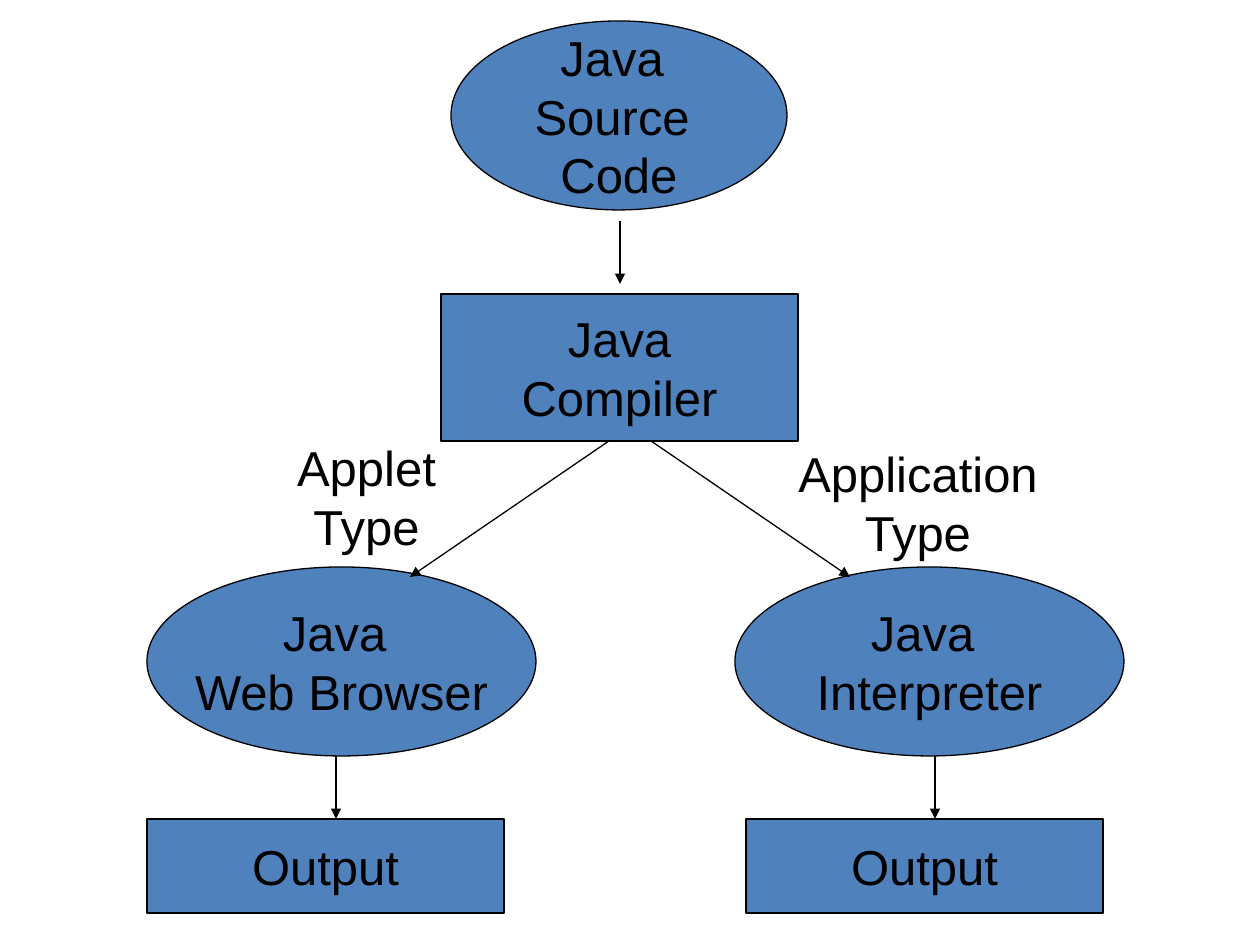
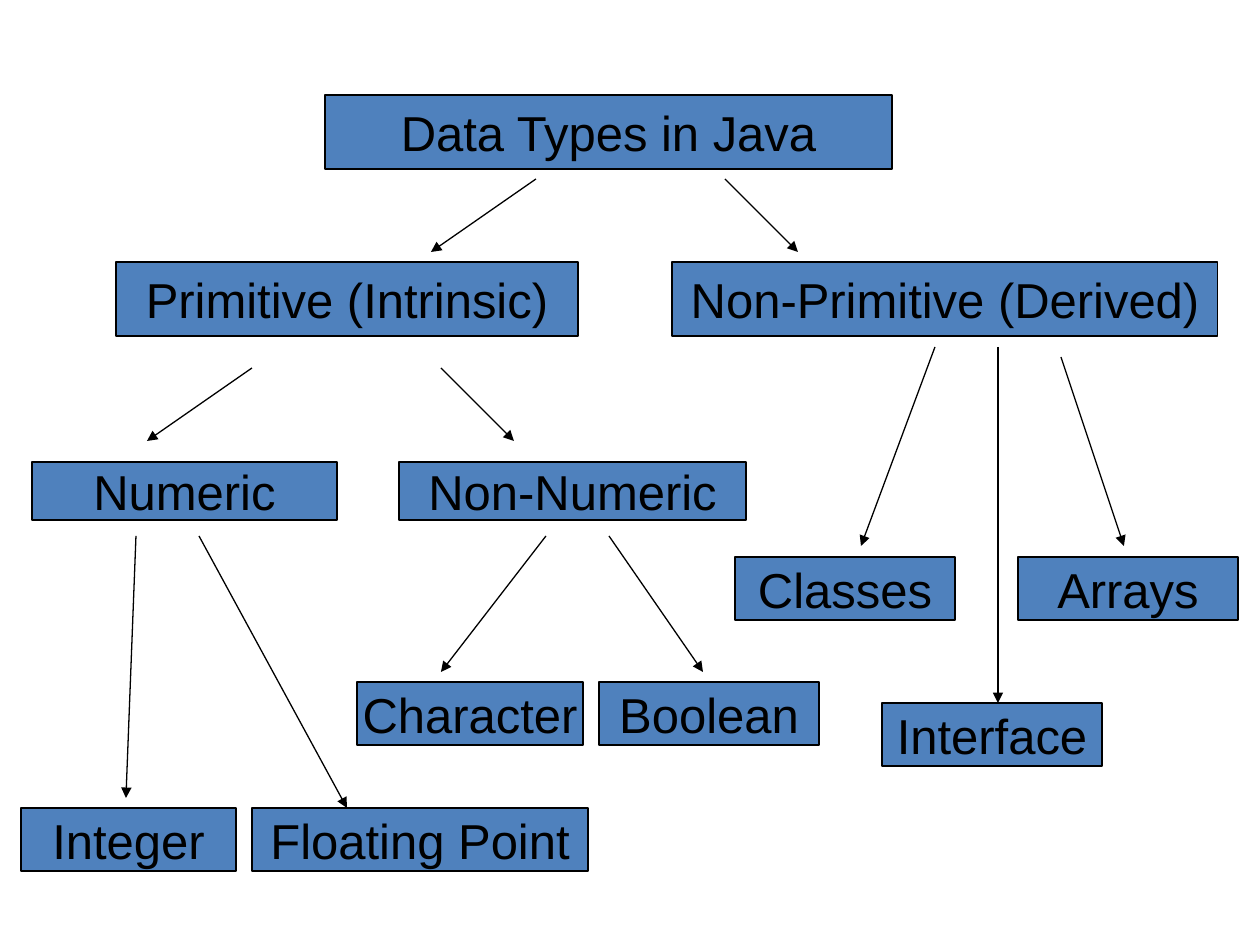
from lxml import etree
from pptx import Presentation, util as u
from pptx.dml.color import RGBColor
from pptx.enum import shapes, text
from pptx.oxml.ns import qn

# Shared look
SCALE = u.Inches(1) // 126
COLORS = {"fill": "4F81BD", "ink": "000000"}
FONT, FONT_SIZE, LINE_WIDTH = "Arial", u.Pt(28), u.Pt(0.75)
RECT, OVAL = shapes.MSO_SHAPE.RECTANGLE, shapes.MSO_SHAPE.OVAL

# Compilation flow: (lines, left, top, width, height)
flow_ovals = [
    (["Java ", "Source ", "Code"], 451, 21, 336, 189),
    (["Java ", "Web Browser"], 147, 567, 389, 189),
    (["Java ", "Interpreter"], 735, 567, 389, 189),
]
flow_boxes = [
    (["Output"], 147, 819, 357, 94),
    (["Output"], 746, 819, 357, 94),
    (["Java", "Compiler"], 441, 294, 357, 147),
]
flow_labels = [
    (["Applet", "Type"], 284, 431, 165, 130),
    (["Application", "Type"], 785, 437, 266, 130),
]
# Arrows: (from x, from y, to x, to y)
flow_arrows = [
    (620, 221, 620, 284),
    (336, 756, 336, 819),
    (935, 756, 935, 819),
    (609, 441, 410, 577),
    (651, 441, 850, 577),
]

# Data type tree, by row: (top, height, [(name, left, width)])
type_rows = [
    (95, 74, [("Data Types in Java", 325, 567)]),
    (262, 74, [("Primitive (Intrinsic)", 116, 462),
               ("Non-Primitive (Derived)", 672, 546)]),
    (462, 58, [("Numeric", 32, 305), ("Non-Numeric", 399, 347)]),
    (808, 63, [("Integer", 21, 215), ("Floating Point", 252, 336)]),
    (682, 63, [("Character", 357, 226), ("Boolean", 599, 220)]),
    (557, 63, [("Classes", 735, 220), ("Arrays", 1018, 220)]),
    (703, 63, [("Interface", 882, 220)]),
]
type_arrows = [
    (536, 179, 431, 252), (725, 179, 798, 252),    # two families
    (252, 368, 147, 441), (441, 368, 514, 441),    # primitive
    (546, 536, 441, 672), (609, 536, 703, 672),    # non-numeric
    (136, 536, 126, 798), (199, 536, 347, 808),    # numeric
    (935, 347, 861, 546), (1061, 357, 1124, 546),  # non-primitive
    (998, 347, 998, 703),
]


def color(name):
    return RGBColor.from_string(COLORS[name])


def px(*lengths):
    return [length * SCALE for length in lengths]


def write(frame, lines):
    frame.word_wrap = False
    frame.text = "\n".join(lines)
    for paragraph in frame.paragraphs:
        paragraph.alignment = text.PP_ALIGN.CENTER
        paragraph.font.name = FONT
        paragraph.font.size = FONT_SIZE
        paragraph.font.color.rgb = color("ink")


def add_node(slide, kind, lines, *place):
    node = slide.shapes.add_shape(kind, *px(*place))
    node.shadow.inherit = False
    node.fill.solid()
    node.fill.fore_color.rgb = color("fill")
    node.line.color.rgb = color("ink")
    node.line.width = LINE_WIDTH
    node.text_frame.vertical_anchor = text.MSO_ANCHOR.MIDDLE
    write(node.text_frame, lines)


def add_label(slide, lines, *place):
    frame = slide.shapes.add_textbox(*px(*place)).text_frame
    write(frame, lines)
    frame.auto_size = text.MSO_AUTO_SIZE.SHAPE_TO_FIT_TEXT


def add_arrow(slide, *ends):
    arrow = slide.shapes.add_connector(shapes.MSO_CONNECTOR.STRAIGHT, *px(*ends))
    arrow.line.color.rgb = color("ink")
    arrow.line.width = LINE_WIDTH
    etree.SubElement(arrow.line._get_or_add_ln(), qn("a:tailEnd"), type="triangle")
    etree.SubElement(arrow._element.spPr, qn("a:effectLst"))


deck = Presentation()
deck.slide_width, deck.slide_height = px(1260, 945)
blank = deck.slide_layouts[6]

# Slide 1: from source code to output
flow = deck.slides.add_slide(blank)
for kind, nodes in ((OVAL, flow_ovals), (RECT, flow_boxes)):
    for node in nodes:
        add_node(flow, kind, *node)
for ends in flow_arrows:
    add_arrow(flow, *ends)
for label in flow_labels:
    add_label(flow, *label)

# Slide 2: tree of data types
tree = deck.slides.add_slide(blank)
for top, height, row in type_rows:
    for name, left, width in row:
        add_node(tree, RECT, [name], left, top, width, height)
for ends in type_arrows:
    add_arrow(tree, *ends)

deck.save("out.pptx")
